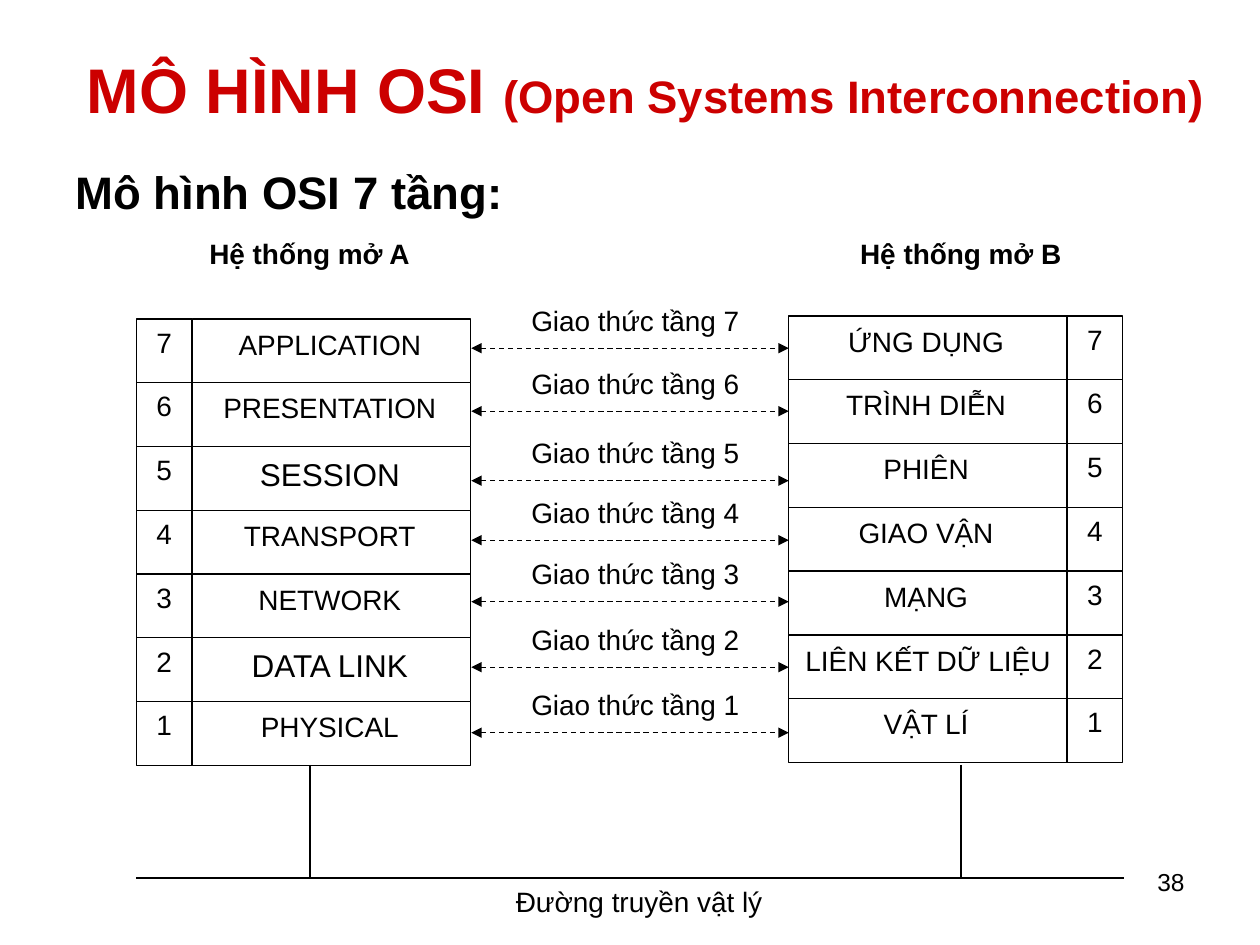
import pptx
import pptx.util
import pptx.dml.color
import pptx.enum.dml
import pptx.enum.shapes
import pptx.enum.text
import pptx.oxml.ns
import lxml.etree

Cm, Pt = pptx.util.Cm, pptx.util.Pt
Rgb = pptx.dml.color.RGBColor.from_string
Align = pptx.enum.text.PP_ALIGN
Anchor = pptx.enum.text.MSO_ANCHOR
Shape = pptx.enum.shapes.MSO_SHAPE
qn = pptx.oxml.ns.qn

theme = {
    "font": "Arial",
    "red": "CC0000", "black": "000000", "white": "FFFFFF",
    "title": 36, "head": 26, "large": 18, "text": 16, "page": 14,
    "thin": 0.75, "rule": 1,
}

deck = pptx.Presentation()
deck.slide_width, deck.slide_height = Cm(25.4), Cm(19.05)
slide = deck.slides.add_slide(deck.slide_layouts[6])


def box(area, runs=(), ink="black", bold=False, align=Align.CENTER,
        anchor=Anchor.TOP, fill="white", edge=None):
    """Add a rectangle, or a plain text box if fill is None."""
    area = [Cm(n) for n in area]
    if fill:
        item = slide.shapes.add_shape(Shape.RECTANGLE, *area)
        item.shadow.inherit = False
        item.fill.solid()
        item.fill.fore_color.rgb = Rgb(theme[fill])
        if edge:
            item.line.color.rgb = Rgb(theme[edge])
            item.line.width = Pt(theme["thin"])
        else:
            item.line.fill.background()
    else:
        item = slide.shapes.add_textbox(*area)
    frame = item.text_frame
    for key, val in {"word_wrap": True, "vertical_anchor": anchor}.items():
        setattr(frame, key, val)
    para = frame.paragraphs[0]
    para.alignment = align
    for text, size in runs:
        run = para.add_run()
        run.text = text
        style = {"name": theme["font"], "size": Pt(theme[size]), "bold": bold}
        for key, val in style.items():
            setattr(run.font, key, val)
        run.font.color.rgb = Rgb(theme[ink])
    return para


def line(x1, y1, x2, y2, width="rule", arrow=False):
    """Add a straight line, dashed with two heads if arrow is set."""
    item = slide.shapes.add_connector(
        pptx.enum.shapes.MSO_CONNECTOR.STRAIGHT, Cm(x1), Cm(y1), Cm(x2), Cm(y2))
    item.line.color.rgb = Rgb(theme["black"])
    item.line.width = Pt(theme[width])
    if arrow:
        item.line.dash_style = pptx.enum.dml.MSO_LINE.DASH
        for end in ("a:headEnd", "a:tailEnd"):
            lxml.etree.SubElement(item.line._get_or_add_ln(), qn(end), type="triangle")
    lxml.etree.SubElement(item._element.spPr, qn("a:effectLst"))


# Title and heading
box((1.27, 0.2, 23.5, 3.18),
    [("MÔ HÌNH OSI ", "title"), ("(Open Systems Interconnection)", "head")],
    ink="red", bold=True, anchor=Anchor.MIDDLE, fill=None)
head = box((1.27, 3.18, 23.06, 15.67), [("Mô hình OSI 7 tầng:", "head")],
           bold=True, align=Align.LEFT, fill=None)
head.space_before = Pt(6.5)

# Caption of the medium
box((6.88, 17.7, 12.01, 1.35), [("Đường truyền vật lý", "text")])

# Layer stacks: top, left of numbers, left of names, layers from 7 to 1
row, slim, wide = 9 / 7, 1.12, 5.61
stacks = [
    (6.43, 2.75, 3.88, ["APPLICATION", "PRESENTATION", "SESSION", "TRANSPORT",
                        "NETWORK", "DATA LINK", "PHYSICAL"]),
    (6.37, 21.51, 15.9, ["ỨNG DỤNG", "TRÌNH DIỄN", "PHIÊN", "GIAO VẬN",
                         "MẠNG", "LIÊN KẾT DỮ LIỆU", "VẬT LÍ"]),
]
for top, num, left, names in stacks:
    for i, name in enumerate(names):
        y = top + i * row
        box((num, y, slim, row), [(str(7 - i), "text")], edge="black")
        box((left, y, wide, row), edge="black")
        size = "large" if name in ("SESSION", "DATA LINK") else "text"
        if name == "LIÊN KẾT DỮ LIỆU":
            # The long label is wider than its cell, so redraw the sides
            box((left - 0.38, y + 0.04, 6.38, 1.13), [(name, size)])
            for x in (left, left + wide):
                line(x, y, x, y + row, "thin")
        else:
            box((left + 0.18, y + 0.04, 5.18, 1.13), [(name, size)])

# Protocols between equal layers
tops = [5.99, 7.26, 8.66, 9.86, 11.1, 12.42, 13.74]
for i, y in enumerate(tops):
    box((10.08, y, 5.46, 1.19), [(f"Giao thức tầng {7 - i}", "text")], edge="white")
    line(9.5, y + 1.03, 15.9, y + 1.03, "thin", arrow=True)

# System names
for x, name in ((3.51, "A"), (16.64, "B")):
    box((x, 4.65, 5.46, 1.35), [(f"Hệ thống mở {name}", "text")], bold=True)

# Physical medium
line(2.75, 17.7, 22.65, 17.7)
for x in (6.25, 19.37):
    line(x, 15.42, x, 17.7)

# Page number
box((18.21, 17.35, 5.92, 1.32), [("38", "page")], align=Align.RIGHT, fill=None)

deck.save("out.pptx")
